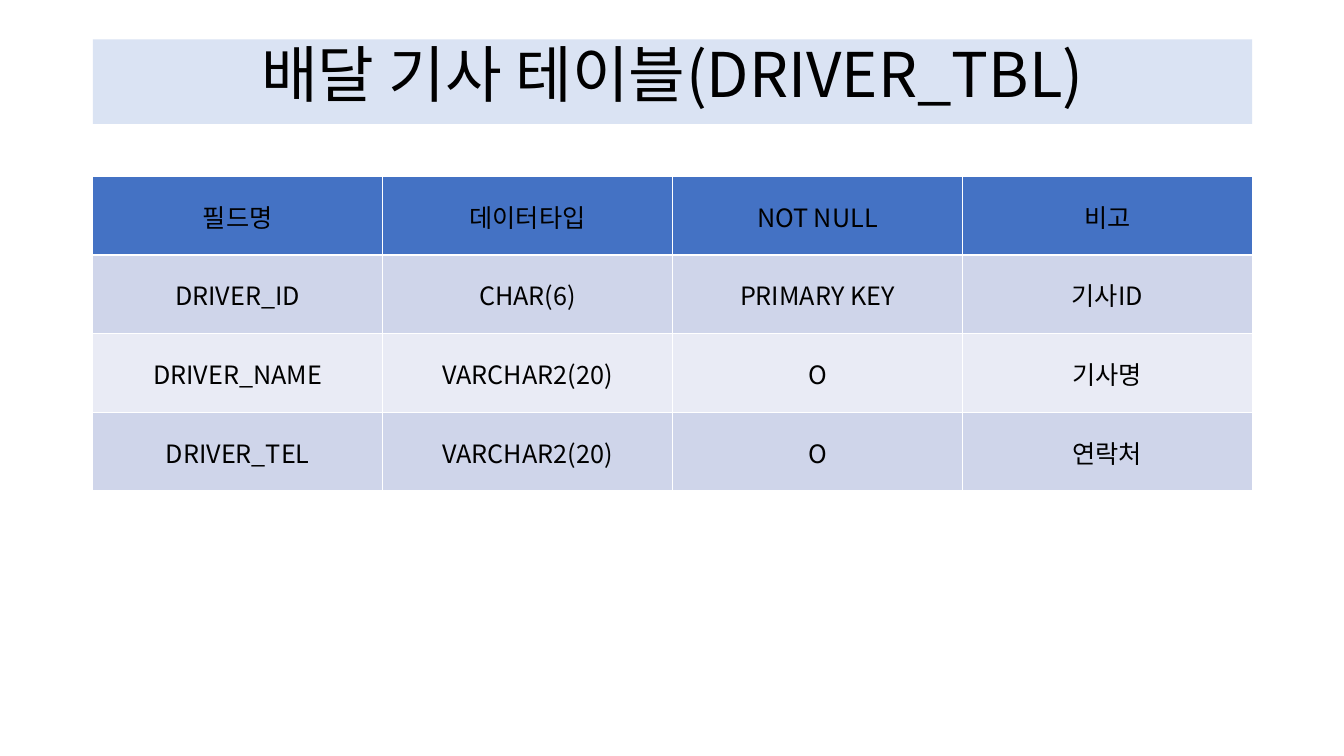
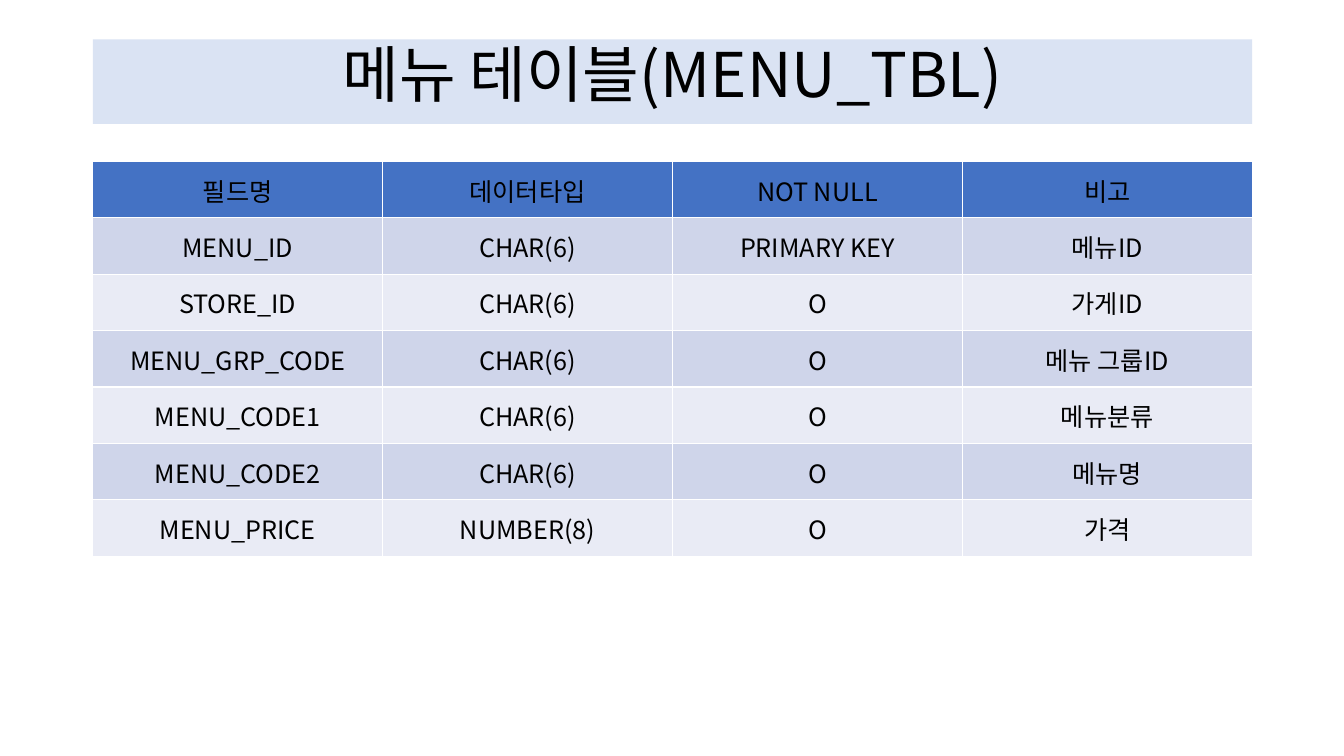
"""Build two slides that describe database tables."""
from dataclasses import dataclass

from lxml.etree import SubElement
from pptx import Presentation
from pptx.dml.color import RGBColor
from pptx.enum.text import MSO_ANCHOR, MSO_AUTO_SIZE, PP_ALIGN
from pptx.oxml.ns import qn
from pptx.util import Inches, Pt

FONT = "Noto Sans CJK KR"
COLORS = {
    "text": "000000",
    "title_band": "DAE3F3",
    "header": "4472C4",
    "odd_row": "CFD5EA",
    "even_row": "E9EBF5",
}
LEFT, WIDTH = 0.92, 11.5
TITLE_TOP, TITLE_HEIGHT = 0.39, 0.84
HEADER = ("필드명", "데이터타입", "NOT NULL", "비고")


@dataclass(frozen=True)
class TableSlide:
    title: str
    top: float
    row_height: float
    fields: tuple[tuple[str, str, str, str], ...]


SLIDES = (
    TableSlide("배달 기사 테이블(DRIVER_TBL)", 1.75, 0.78, (
        ("DRIVER_ID", "CHAR(6)", "PRIMARY KEY", "기사ID"),
        ("DRIVER_NAME", "VARCHAR2(20)", "O", "기사명"),
        ("DRIVER_TEL", "VARCHAR2(20)", "O", "연락처"),
    )),
    TableSlide("메뉴 테이블(MENU_TBL)", 1.6, 0.56, (
        ("MENU_ID", "CHAR(6)", "PRIMARY KEY", "메뉴ID"),
        ("STORE_ID", "CHAR(6)", "O", "가게ID"),
        ("MENU_GRP_CODE", "CHAR(6)", "O", "메뉴 그룹ID"),
        ("MENU_CODE1", "CHAR(6)", "O", "메뉴분류"),
        ("MENU_CODE2", "CHAR(6)", "O", "메뉴명"),
        ("MENU_PRICE", "NUMBER(8)", "O", "가격"),
    )),
)


def set_fill(target, color: str) -> None:
    target.fill.solid()
    target.fill.fore_color.rgb = RGBColor.from_string(COLORS[color])


def write_centered(tf, text: str, size: int) -> None:
    p = tf.paragraphs[0]
    p.text = text
    p.alignment = PP_ALIGN.CENTER
    p.font.size = Pt(size)
    p.font.bold = False
    p.font.color.rgb = RGBColor.from_string(COLORS["text"])
    p.font.name = FONT
    SubElement(p._p.pPr.find(qn("a:defRPr")), qn("a:ea"), typeface=FONT)


def add_title(slide, text: str) -> None:
    sp = slide.shapes.title
    sp.left, sp.top = Inches(LEFT), Inches(TITLE_TOP)
    sp.width, sp.height = Inches(WIDTH), Inches(TITLE_HEIGHT)
    set_fill(sp, "title_band")
    tf = sp.text_frame
    tf.word_wrap = True
    tf.auto_size = MSO_AUTO_SIZE.NONE
    tf.vertical_anchor = MSO_ANCHOR.TOP
    write_centered(tf, text, 44)
    tf.paragraphs[0].line_spacing = 0.9


def add_field_table(slide, spec: TableSlide) -> None:
    rows = (HEADER, *spec.fields)
    table = slide.shapes.add_table(
        len(rows), len(HEADER), Inches(LEFT), Inches(spec.top),
        Inches(WIDTH), Inches(spec.row_height * len(rows)),
    ).table
    for r, values in enumerate(rows):
        color = "header" if r == 0 else "odd_row" if r % 2 else "even_row"
        for c, value in enumerate(values):
            cell = table.cell(r, c)
            set_fill(cell, color)
            cell.vertical_anchor = MSO_ANCHOR.MIDDLE
            cell.margin_left = cell.margin_right = cell.margin_top = Inches(0.01)
            cell.margin_bottom = 0
            write_centered(cell.text_frame, value, 18)


def main() -> None:
    prs = Presentation()
    prs.slide_width, prs.slide_height = Inches(13.33), Inches(7.5)
    for spec in SLIDES:
        slide = prs.slides.add_slide(prs.slide_layouts[5])
        add_title(slide, spec.title)
        add_field_table(slide, spec)
    prs.save("out.pptx")


if __name__ == "__main__":
    main()
